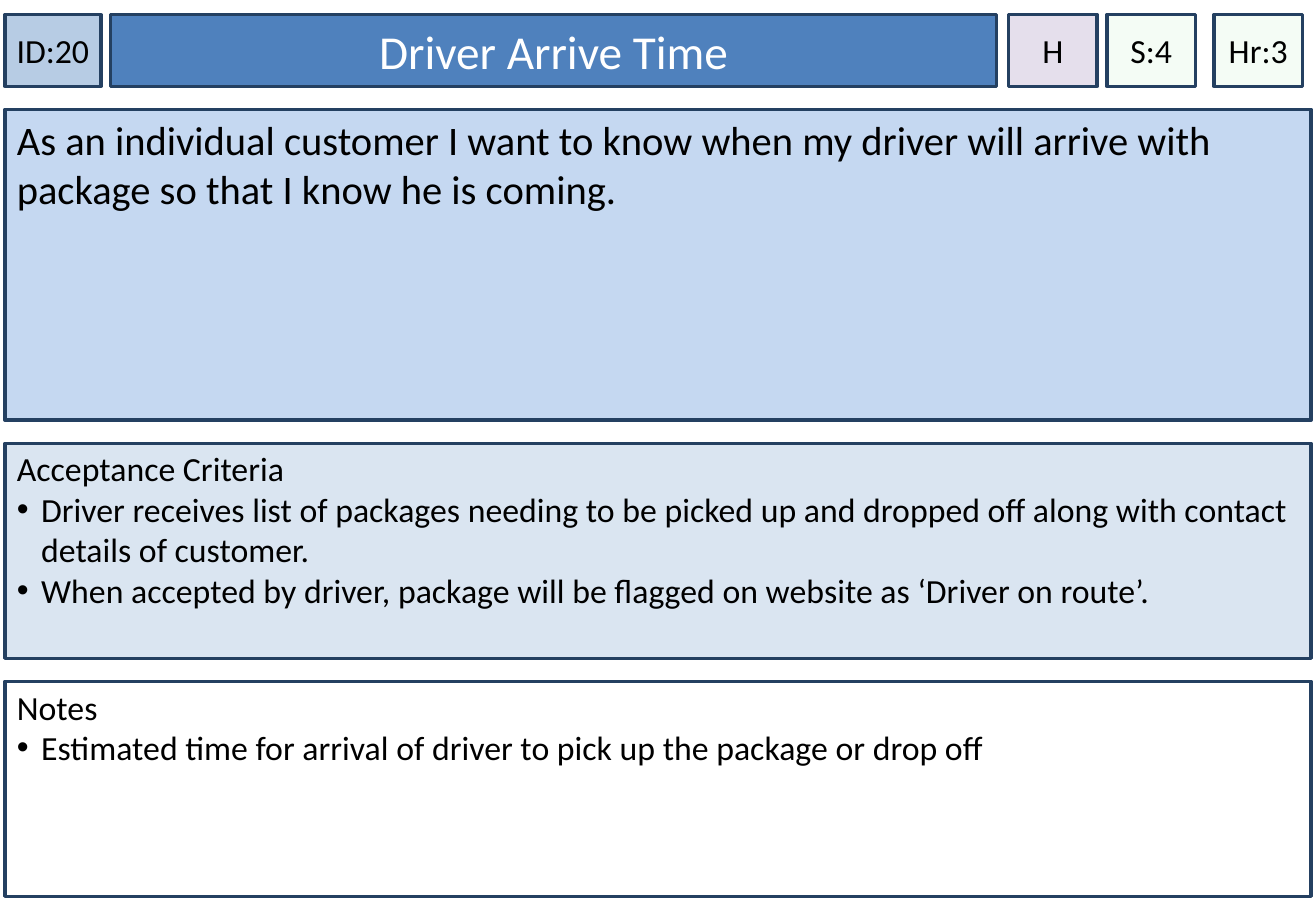
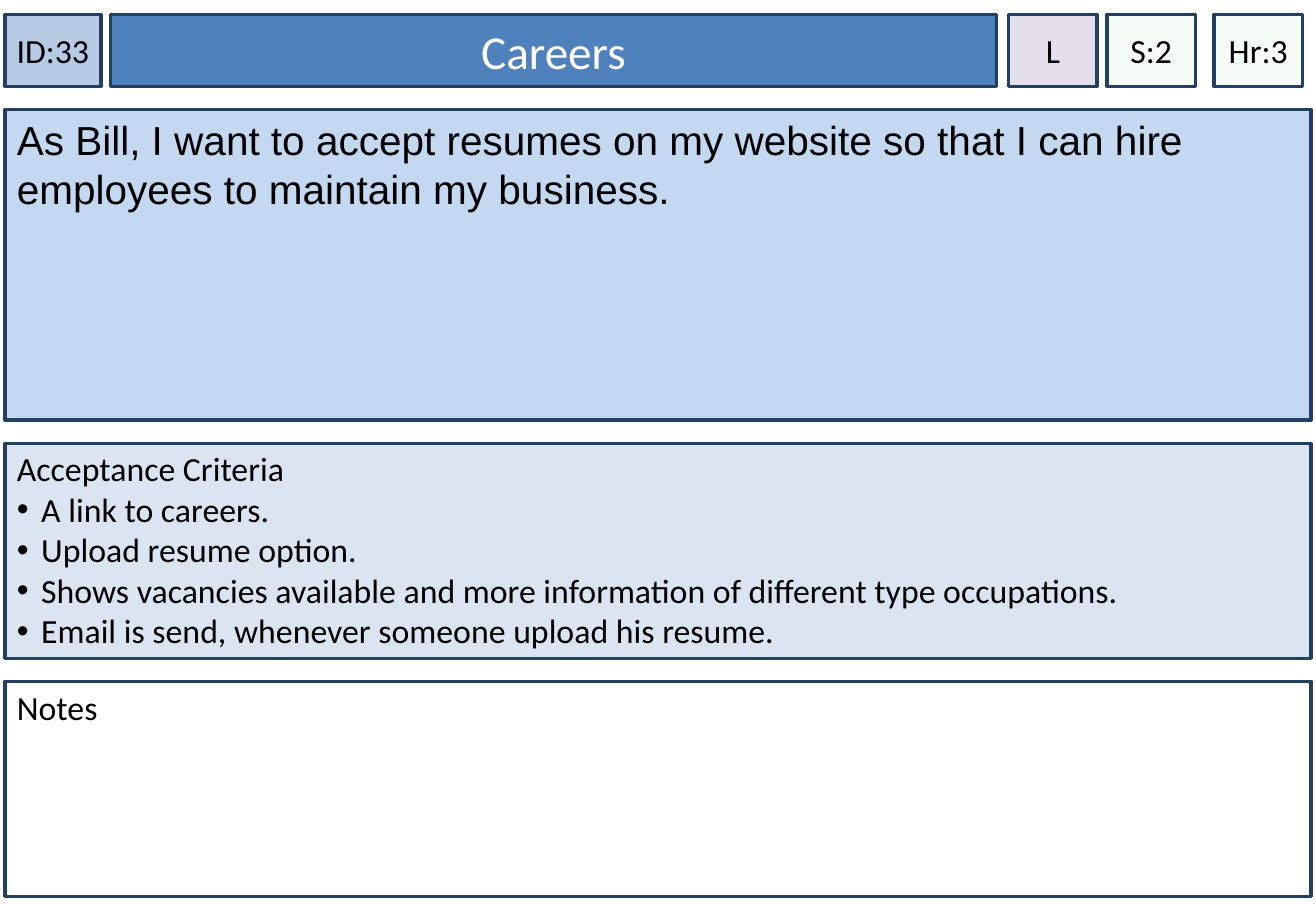
import pptx
import pptx.dml.color
import pptx.enum.shapes
import pptx.enum.text
import pptx.oxml
import pptx.oxml.ns
import pptx.util
from lxml import etree

Inches = pptx.util.Inches
ALIGN = pptx.enum.text.PP_ALIGN
ANCHOR = pptx.enum.text.MSO_ANCHOR

SLIDE_WIDTH, SLIDE_HEIGHT = 10.83, 7.5
MARGIN = 0.04
HEADER_TOP, HEADER_HEIGHT = 0.12, 0.59
ROW_GAP = 0.19
PANEL_WIDTH = SLIDE_WIDTH - 2 * MARGIN
BULLET_INDENT = 0.2

BORDER, BLACK, WHITE = "244061", "000000", "FFFFFF"
ESTIMATE_FILL, ESTIMATE_ALPHA = "CCF0CD", 20

# Header columns: left, width, fill, text colour, text size, side inset
HEADER_COLUMNS = [
    (MARGIN, 0.79, "B7CCE4", BLACK, 20, 0),
    (0.91, 7.29, "4F81BD", WHITE, 28, 0.1),
    (8.3, 0.73, "E5DFEC", BLACK, 20, 0),
    (9.11, 0.73, ESTIMATE_FILL, BLACK, 20, 0),
    (9.99, 0.73, ESTIMATE_FILL, BLACK, 20, 0),
]

# Panels, top to bottom: height, fill, text size, top inset
PANEL_ROWS = [
    (2.56, "C5D8F1", 24, 0.05),
    (1.77, "DAE5F1", 20, 0.04),
    (1.77, WHITE, 20, 0.04),
]

STORIES = [
    {
        "header": ["ID:20", "Driver Arrive Time", "H", "S:4", "Hr:3"],
        "story_font": "Calibri",
        "panels": [
            ["As an individual customer I want to know when my driver will arrive "
             "with package so that I know he is coming."],
            ["Acceptance Criteria",
             "Driver receives list of packages needing to be picked up and dropped "
             "off along with contact details of customer.",
             "When accepted by driver, package will be flagged on website as "
             "‘Driver on route’."],
            ["Notes",
             "Estimated time for arrival of driver to pick up the package or drop off"],
        ],
    },
    {
        "header": ["ID:33", "Careers", "L", "S:2", "Hr:3"],
        "story_font": "Arial",
        "panels": [
            ["As Bill, I want to accept resumes on my website so that I can hire "
             "employees to maintain my business."],
            ["Acceptance Criteria",
             "A link to careers.",
             "Upload resume option.",
             "Shows vacancies available and more information of different type "
             "occupations.",
             "Email is send, whenever someone upload his resume."],
            ["Notes"],
        ],
    },
]


def rgb(hex_colour):
    return pptx.dml.color.RGBColor.from_string(hex_colour)


def add_box(slide, place, fill, lines, size, colour=BLACK, font="Calibri",
            align=ALIGN.LEFT, anchor=ANCHOR.TOP, side_inset=0.1, top_inset=0.05):
    """Draw a bordered rectangle; every line after the first is a bullet."""
    box = slide.shapes.add_shape(pptx.enum.shapes.MSO_SHAPE.RECTANGLE,
                                 *[Inches(length) for length in place])
    box.shadow.inherit = False
    box.fill.solid()
    box.fill.fore_color.rgb = rgb(fill)
    if fill == ESTIMATE_FILL:
        tint = box.fill._xPr.find(".//" + pptx.oxml.ns.qn("a:srgbClr"))
        etree.SubElement(tint, pptx.oxml.ns.qn("a:alpha"), val=str(ESTIMATE_ALPHA * 1000))
    box.line.color.rgb = rgb(BORDER)
    box.line.width = pptx.util.Pt(2)

    frame = box.text_frame
    frame.word_wrap = True
    frame.vertical_anchor = anchor
    frame.margin_left = frame.margin_right = Inches(side_inset)
    frame.margin_top, frame.margin_bottom = Inches(top_inset), Inches(0.05)
    frame.text = "\n".join(lines)
    for index, paragraph in enumerate(frame.paragraphs):
        paragraph.alignment = align
        if index:
            properties = paragraph._p.get_or_add_pPr()
            properties.set("marL", str(Inches(BULLET_INDENT)))
            properties.set("indent", str(-Inches(BULLET_INDENT)))
            bullet_colour = etree.SubElement(properties, pptx.oxml.ns.qn("a:buClr"))
            etree.SubElement(bullet_colour, pptx.oxml.ns.qn("a:srgbClr"), val=BLACK)
            etree.SubElement(properties, pptx.oxml.ns.qn("a:buFont"), typeface="Arial")
            etree.SubElement(properties, pptx.oxml.ns.qn("a:buChar"), char="•")
        paragraph.font.name = font
        paragraph.font.size = pptx.util.Pt(size)
        paragraph.font.color.rgb = rgb(colour)


deck = pptx.Presentation()
deck.slide_width, deck.slide_height = Inches(SLIDE_WIDTH), Inches(SLIDE_HEIGHT)

for story in STORIES:
    card = deck.slides.add_slide(deck.slide_layouts[6])

    for label, column in zip(story["header"], HEADER_COLUMNS):
        left, width, fill, colour, size, side_inset = column
        add_box(card, (left, HEADER_TOP, width, HEADER_HEIGHT), fill, [label], size,
                colour, align=ALIGN.CENTER, anchor=ANCHOR.MIDDLE, side_inset=side_inset)

    fonts = [story["story_font"], "Calibri", "Calibri"]
    top = HEADER_TOP + HEADER_HEIGHT + ROW_GAP
    for lines, font, row in zip(story["panels"], fonts, PANEL_ROWS):
        height, fill, size, top_inset = row
        add_box(card, (MARGIN, top, PANEL_WIDTH, height), fill, lines, size,
                font=font, top_inset=top_inset)
        top += height + ROW_GAP

deck.save("out.pptx")
